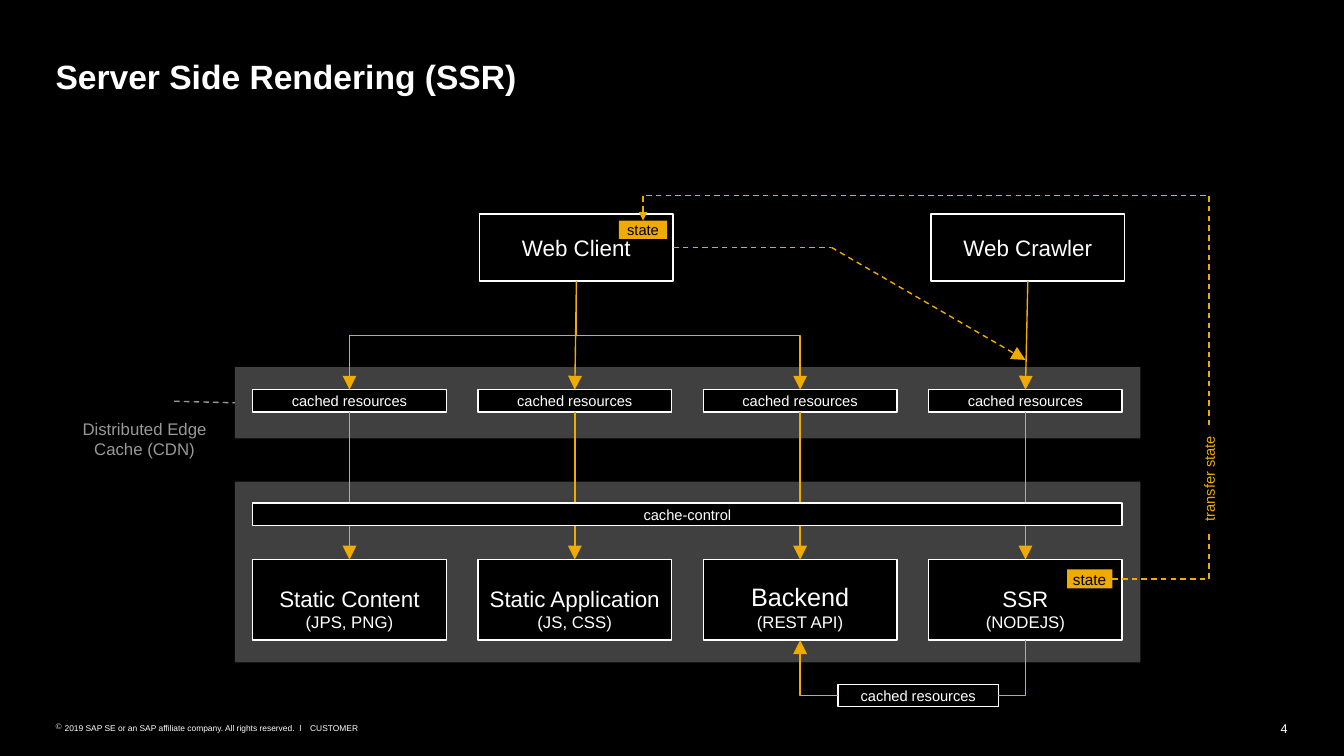
from dataclasses import dataclass
from math import cos, radians, sin

from pptx import Presentation
from pptx.dml.color import RGBColor
from pptx.enum.dml import MSO_LINE_DASH_STYLE as Dash
from pptx.enum.shapes import MSO_CONNECTOR_TYPE as Connector, MSO_SHAPE
from pptx.enum.text import MSO_ANCHOR as Anchor, PP_ALIGN as Align
from pptx.oxml.ns import qn
from pptx.util import Cm, Pt
from lxml.etree import SubElement


@dataclass(frozen=True)
class Theme:
    font: str = "Arial"
    black: str = "000000"
    white: str = "FFFFFF"
    band: str = "404040"
    muted: str = "999999"
    accent: str = "F0AB00"
    title: float = 24
    large: float = 18
    box: float = 16
    caption: float = 12
    tag: float = 11
    label: float = 10.5
    page: float = 9
    footer: float = 6


THEME = Theme()

BOX_WIDTH = 4.88
COLUMNS = [8.81 + 5.68 * index for index in range(4)]
BAND_LEFT, BAND_WIDTH = 5.92, 22.83
STRIP_HEIGHT = 0.56
CACHE_TOP = 9.82
SERVICE_TOP, SERVICE_HEIGHT = 14.1, 2.03
SERVICE_BOTTOM = SERVICE_TOP + SERVICE_HEIGHT
CLIENT_CENTRE, CRAWLER_CENTRE = 14.53, 25.91
CLIENT_TOP, CLIENT_HEIGHT = 5.39, 1.69
TRANSFER_X = 30.48
SERVICES = [
    ("Static Content", "(JPS, PNG)", THEME.box),
    ("Static Application", "(JS, CSS)", THEME.box),
    ("Backend", "(REST API)", THEME.large),
    ("SSR", "(NODEJS)", THEME.box),
]


def write_text(shape, text, caption=None, size=THEME.box, color=THEME.white, bold=False,
               align=Align.CENTER, anchor=Anchor.MIDDLE, margins=(0.25, 0.2), wrap=True, bullet=None):
    """Fill a shape with one paragraph; the caption goes on a second line."""
    frame = shape.text_frame
    frame.word_wrap = wrap
    frame.vertical_anchor = anchor
    frame.margin_left = frame.margin_right = Cm(margins[0])
    frame.margin_top = frame.margin_bottom = Cm(margins[1])
    paragraph = frame.paragraphs[0]
    paragraph.alignment = align
    if bullet:
        properties = paragraph._p.get_or_add_pPr()
        properties.set("marL", str(Cm(0.23)))
        properties.set("indent", str(Cm(-0.23)))
        SubElement(properties, qn("a:buChar")).set("char", bullet)
    for index, (words, points) in enumerate([(text, size), (caption, THEME.caption)]):
        if not words:
            continue
        if index:
            paragraph.add_line_break()
        run = paragraph.add_run()
        run.text = words
        run.font.name = THEME.font
        run.font.size = Pt(points)
        run.font.bold = bold
        run.font.color.rgb = RGBColor.from_string(color)


def add_box(slide, left, top, width, height, fill=THEME.black, outline=THEME.white):
    box = slide.shapes.add_shape(MSO_SHAPE.RECTANGLE, Cm(left), Cm(top), Cm(width), Cm(height))
    box.shadow.inherit = False
    box.fill.solid()
    box.fill.fore_color.rgb = RGBColor.from_string(fill)
    if outline:
        box.line.color.rgb = RGBColor.from_string(outline)
        box.line.width = Pt(1)
    else:
        box.line.fill.background()
    return box


def add_strip(slide, left, top, width, text):
    strip = add_box(slide, left, top, width, STRIP_HEIGHT)
    write_text(strip, text, size=THEME.label, margins=(0.2, 0.05))
    return strip


def add_state_tag(slide, left, top, width, height, size):
    tag = add_box(slide, left, top, width, height, fill=THEME.accent, outline=None)
    write_text(tag, "state", size=size, color=THEME.black, margins=(0.1, 0), wrap=False)


def add_label(slide, left, top, width, height, text, **text_format):
    label = slide.shapes.add_textbox(Cm(left), Cm(top), Cm(width), Cm(height))
    write_text(label, text, **text_format)
    return label


def style_line(connector, color=THEME.accent, dashed=False, arrow=None):
    """Format a connector; arrow is the head size, "med" or "lg"."""
    line = connector.line
    line.color.rgb = RGBColor.from_string(color)
    line.width = Pt(1)
    if dashed:
        line.dash_style = Dash.DASH
    properties = connector._element.spPr
    if arrow:
        head = SubElement(properties.find(qn("a:ln")), qn("a:tailEnd"))
        head.set("type", "triangle")
        head.set("w", arrow)
        head.set("len", arrow)
    SubElement(properties, qn("a:effectLst"))


def add_line(slide, start=(0, 0), end=(0, 0), source=None, target=None, **line_format):
    """Draw a straight line; source and target are (shape, side) pairs to join."""
    line = slide.shapes.add_connector(Connector.STRAIGHT, *map(Cm, (*start, *end)))
    if source:
        line.begin_connect(*source)
    if target:
        line.end_connect(*target)
    style_line(line, **line_format)


def add_elbow(slide, start, end, heading, bend=None, **line_format):
    """Draw an elbow leaving at heading degrees; without bend it turns once."""
    (x1, y1), (x2, y2) = start, end
    cosine, sine = cos(radians(heading)), sin(radians(heading))
    half_x = ((x2 - x1) * cosine + (y2 - y1) * sine) / 2
    half_y = ((y2 - y1) * cosine - (x2 - x1) * sine) / 2
    middle_x, middle_y = (x1 + x2) / 2, (y1 + y2) / 2
    corners = (middle_x - half_x, middle_y - half_y, middle_x + half_x, middle_y + half_y)
    elbow = slide.shapes.add_connector(Connector.ELBOW, *map(Cm, corners))
    properties = elbow._element.spPr
    properties.find(qn("a:xfrm")).set("rot", str(heading * 60000))
    geometry = properties.find(qn("a:prstGeom"))
    if bend is None:
        geometry.set("prst", "bentConnector2")
    else:
        guide = SubElement(geometry.find(qn("a:avLst")), qn("a:gd"))
        guide.set("name", "adj1")
        guide.set("fmla", f"val {round(bend * 100000)}")
    style_line(elbow, **line_format)


def add_title_and_footer(slide):
    title = slide.shapes.title
    title.left, title.top, title.width, title.height = map(Cm, (1.4, 1.4, 31.06, 1.02))
    write_text(title, "Server Side Rendering (SSR)", size=THEME.title, bold=True,
               align=Align.LEFT, anchor=Anchor.TOP, margins=(0, 0))
    footer = dict(size=THEME.footer, align=Align.LEFT, anchor=Anchor.TOP, margins=(0, 0))
    add_label(slide, 1.4, 18.21, 6.3, 0.25,
              "2019 SAP SE or an SAP affiliate company. All rights reserved.  ǀ", bullet="©", **footer)
    add_label(slide, 7.82, 18.21, 1.22, 0.25, "CUSTOMER", wrap=False, **footer)
    add_label(slide, 32.08, 18.16, 0.38, 0.38, "4", size=THEME.page, align=Align.RIGHT,
              anchor=Anchor.TOP, margins=(0, 0), wrap=False)


def add_diagram(slide):
    add_box(slide, BAND_LEFT, 12.14, BAND_WIDTH, 4.55, fill=THEME.band, outline=None)
    cache_band = add_box(slide, BAND_LEFT, 9.25, BAND_WIDTH, 1.8, fill=THEME.band, outline=None)

    clients = []
    for centre, name in ((CLIENT_CENTRE, "Web Client"), (CRAWLER_CENTRE, "Web Crawler")):
        box = add_box(slide, centre - BOX_WIDTH / 2, CLIENT_TOP, BOX_WIDTH, CLIENT_HEIGHT)
        write_text(box, name)
        clients.append(box)
    web_client, web_crawler = clients

    caches = []
    for centre, (name, caption, size) in zip(COLUMNS, SERVICES):
        left = centre - BOX_WIDTH / 2
        cache = add_strip(slide, left, CACHE_TOP, BOX_WIDTH, "cached resources")
        service = add_box(slide, left, SERVICE_TOP, BOX_WIDTH, SERVICE_HEIGHT)
        write_text(service, name, caption, size=size, anchor=Anchor.BOTTOM)
        add_line(slide, source=(cache, 2), target=(service, 0), arrow="lg")
        caches.append(cache)
    add_strip(slide, COLUMNS[0] - BOX_WIDTH / 2, 12.68, COLUMNS[3] - COLUMNS[0] + BOX_WIDTH,
              "cache-control")

    for column in (COLUMNS[0], COLUMNS[2]):
        add_elbow(slide, (CLIENT_CENTRE, CLIENT_TOP + CLIENT_HEIGHT), (column, CACHE_TOP),
                  heading=90, bend=0.5, arrow="lg")
    add_line(slide, source=(web_client, 2), target=(caches[1], 0), arrow="lg")
    add_line(slide, source=(web_crawler, 2), target=(caches[3], 0), arrow="lg")
    turn = (20.96, CLIENT_TOP + CLIENT_HEIGHT / 2)
    add_line(slide, end=turn, source=(web_client, 3), dashed=True)
    add_line(slide, turn, (COLUMNS[3], 9.07), dashed=True, arrow="lg")

    add_label(slide, 1.7, 10.62, 3.89, 0.89, "Distributed Edge Cache (CDN)", size=THEME.caption,
              color=THEME.muted, margins=(0.25, 0.1))
    add_line(slide, (4.39, 10.11), target=(cache_band, 1), color=THEME.muted, dashed=True)

    add_strip(slide, 21.13, 17.25, 4.04, "cached resources")
    add_elbow(slide, (COLUMNS[3], SERVICE_BOTTOM), (25.17, 17.53), heading=90)
    add_elbow(slide, (21.13, 17.53), (COLUMNS[2], SERVICE_BOTTOM), heading=180, arrow="lg")

    add_state_tag(slide, 15.6, 5.56, 1.22, 0.46, THEME.label)
    add_state_tag(slide, 26.9, 14.35, 1.14, 0.48, THEME.tag)
    add_elbow(slide, (28.04, 14.59), (TRANSFER_X, 13.41), heading=0, dashed=True)
    add_elbow(slide, (TRANSFER_X, 10.72), (16.21, 5.56), heading=270, bend=1.123,
              dashed=True, arrow="med")
    transfer = add_label(slide, TRANSFER_X - 1.35, 11.71, 2.7, 0.71, "transfer state",
                         size=THEME.label, color=THEME.accent, margins=(0.25, 0.13), wrap=False)
    transfer.rotation = 270


def main():
    presentation = Presentation()
    presentation.slide_width, presentation.slide_height = Cm(33.88), Cm(19.05)
    slide = presentation.slides.add_slide(presentation.slide_layouts[5])
    slide.background.fill.solid()
    slide.background.fill.fore_color.rgb = RGBColor.from_string(THEME.black)
    add_title_and_footer(slide)
    add_diagram(slide)
    presentation.save("out.pptx")


if __name__ == "__main__":
    main()
